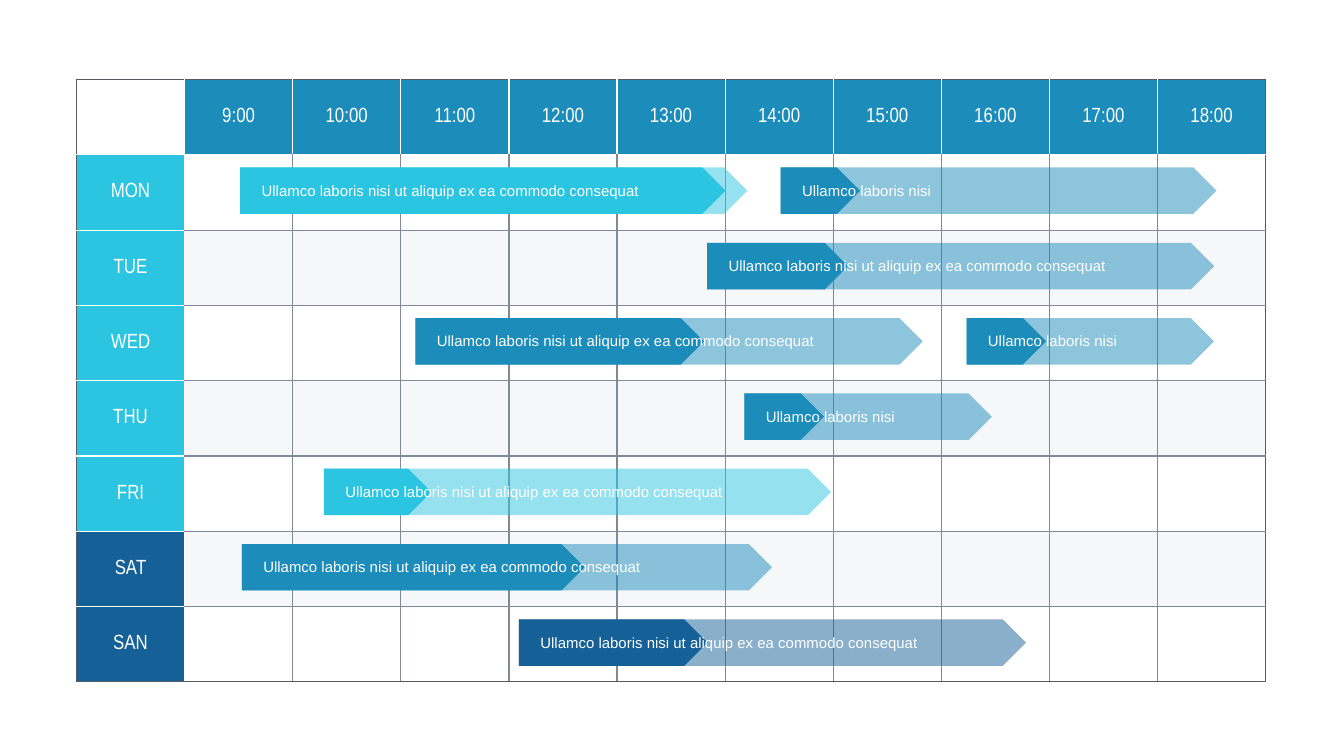
from lxml import etree
from pptx import Presentation
from pptx.dml.color import RGBColor
from pptx.enum import shapes, text
from pptx.oxml import ns
from pptx.util import Pt

WHITE = RGBColor(0xFF, 0xFF, 0xFF)
BLUE = RGBColor(0x1C, 0x8C, 0xBA)
CYAN = RGBColor(0x2C, 0xC5, 0xE1)
NAVY = RGBColor(0x15, 0x60, 0x97)
STRIPE = RGBColor(0xEE, 0xF0, 0xF4)
GRID = RGBColor(0x7F, 0x89, 0x98)
FRAME = RGBColor(0x54, 0x5B, 0x63)

# Content
HOURS = [f"{hour}:00" for hour in range(9, 19)]
DAYS = [("MON", CYAN), ("TUE", CYAN), ("WED", CYAN), ("THU", CYAN),
        ("FRI", CYAN), ("SAT", NAVY), ("SAN", NAVY)]
LONG = ("Ullamco laboris nisi ut aliquip ex ea commodo consequat", 224)
SHORT = ("Ullamco laboris nisi", 103)
# day, left, full length, completed length, colour, (label, label width)
TASKS = [
    ("TUE", 378.8, 271.7, 75.5, BLUE, LONG),
    ("MON", 128.7, 271.7, 260, CYAN, LONG),
    ("SAT", 129.6, 284, 183.6, BLUE, LONG),
    ("SAN", 278, 271.7, 101, NAVY, LONG),
    ("WED", 222.6, 271.7, 154.6, BLUE, LONG),
    ("WED", 517.8, 132.6, 42.6, BLUE, SHORT),
    ("MON", 418.2, 233.5, 42.6, BLUE, SHORT),
    ("FRI", 173.6, 271.7, 57.5, CYAN, LONG),
    ("THU", 398.8, 132.6, 42.6, BLUE, SHORT),
]

# Layout, in points
LEFT, TOP = 41, 42.6
COL_W, ROW_H = 57.94, 40.35
BAR_H, BAR_INSET = 24.9, 6.8
LABEL_DX, LABEL_DY, LABEL_H = 8.8, 6, 13


def paint(fill, color, alpha=None):
    fill.solid()
    fill.fore_color.rgb = color
    if alpha:
        srgb = fill._xPr.find(".//" + ns.qn("a:srgbClr"))
        etree.SubElement(srgb, ns.qn("a:alpha"), val=str(alpha * 1000))


def write(frame, words, size, font):
    frame.word_wrap = True
    run = frame.paragraphs[0].add_run()
    run.text = words
    run.font.size = Pt(size)
    run.font.name = font
    run.font.color.rgb = WHITE


def set_margins(box):
    box.margin_left = box.margin_right = Pt(2.7)
    box.margin_top = box.margin_bottom = Pt(1.35)


def set_borders(cell, colors):
    props = cell._tc.get_or_add_tcPr()
    for position, (side, color) in enumerate(zip("LRTB", colors)):
        line = etree.Element(ns.qn("a:ln" + side), w=str(Pt(0.75)))
        solid = etree.SubElement(line, ns.qn("a:solidFill"))
        etree.SubElement(solid, ns.qn("a:srgbClr"), val=str(color))
        props.insert(position, line)


def border_color(row, col, d_row, d_col):
    near_row, near_col = row + d_row, col + d_col
    if not (0 <= near_row <= len(DAYS) and 0 <= near_col <= len(HOURS)):
        return FRAME
    if 0 in (row, col, near_row, near_col) and (
            0 in (row, col) or near_row == 0 or near_col == 0):
        return WHITE
    return GRID


def add_timetable(slide):
    rows, cols = len(DAYS) + 1, len(HOURS) + 1
    timetable = slide.shapes.add_table(rows, cols, Pt(LEFT), Pt(TOP),
                                       Pt(COL_W * cols), Pt(ROW_H * rows)).table
    timetable.first_row = timetable.horz_banding = False
    for column in timetable.columns:
        column.width = Pt(COL_W)
    for line in timetable.rows:
        line.height = Pt(ROW_H)

    for row in range(rows):
        for col in range(cols):
            cell = timetable.cell(row, col)
            heading = None
            if row == 0 and col:
                heading = (HOURS[col - 1], BLUE)
            elif row and col == 0:
                heading = DAYS[row - 1]

            if heading:
                words, color = heading
                paint(cell.fill, color)
                write(cell.text_frame, words, 11, "Arial Narrow")
                cell.text_frame.paragraphs[0].alignment = text.PP_ALIGN.CENTER
                cell.vertical_anchor = text.MSO_ANCHOR.MIDDLE
                set_margins(cell)
            elif row and row % 2 == 0:
                paint(cell.fill, STRIPE, 50)
            else:
                cell.fill.background()

            sides = [(0, -1), (0, 1), (-1, 0), (1, 0)]
            set_borders(cell, [border_color(row, col, *side) for side in sides])


def add_task(slide, day, left, full, done, color, label):
    row = [name for name, _ in DAYS].index(day) + 1
    top = TOP + row * ROW_H + BAR_INSET
    task = slide.shapes.add_group_shape()
    for length, alpha in ((full, 50), (done, None)):
        bar = task.shapes.add_shape(shapes.MSO_SHAPE.PENTAGON, Pt(left), Pt(top),
                                    Pt(length), Pt(BAR_H))
        bar.shadow.inherit = False
        bar.line.fill.background()
        paint(bar.fill, color, alpha)
    words, width = label
    caption = task.shapes.add_textbox(Pt(left + LABEL_DX), Pt(top + LABEL_DY),
                                      Pt(width), Pt(LABEL_H)).text_frame
    set_margins(caption)
    write(caption, words, 8, "Arial")


def main():
    deck = Presentation()
    deck.slide_width, deck.slide_height = Pt(720), Pt(405)
    slide = deck.slides.add_slide(deck.slide_layouts[6])
    add_timetable(slide)
    for task in TASKS:
        add_task(slide, *task)
    deck.save("out.pptx")


if __name__ == "__main__":
    main()
